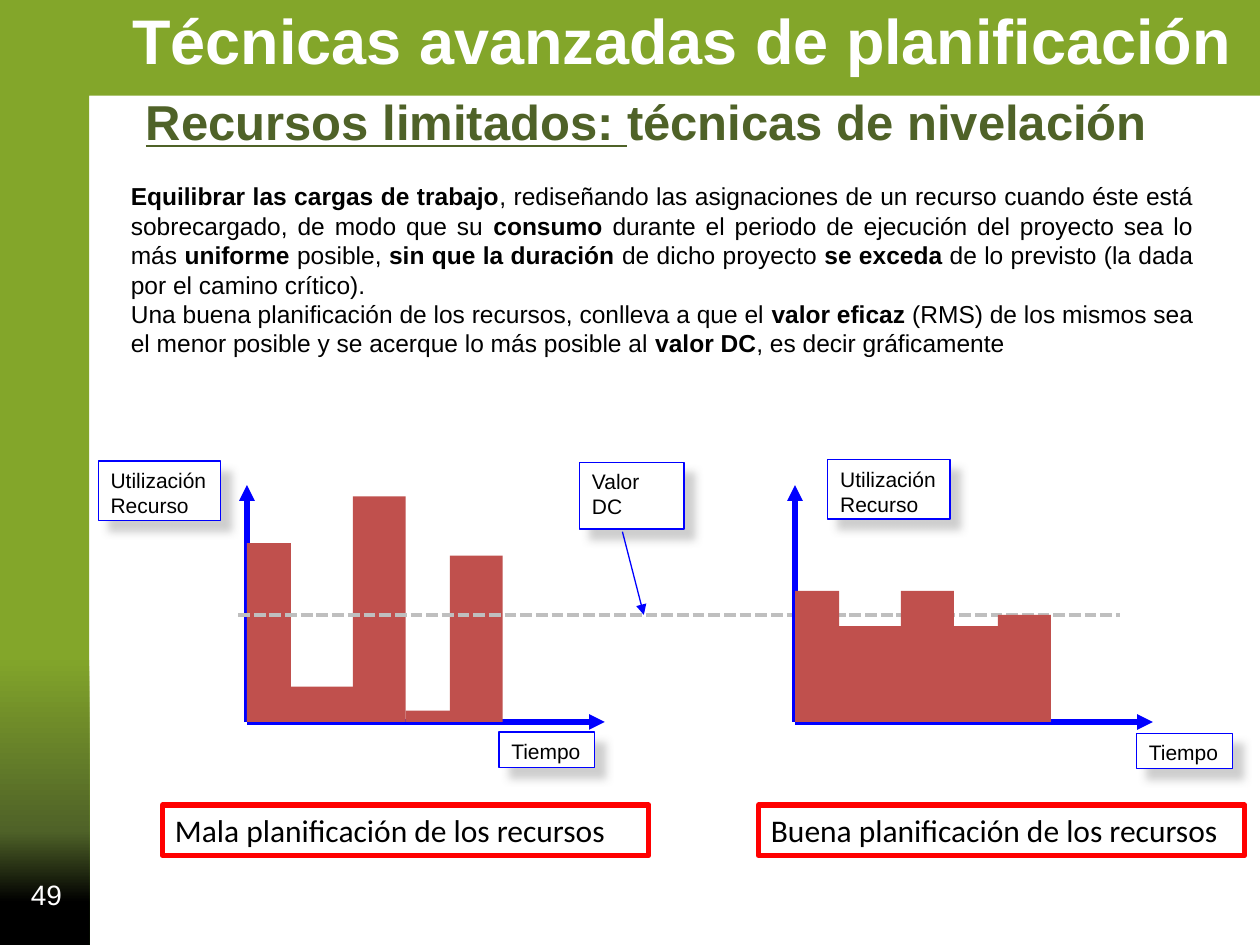
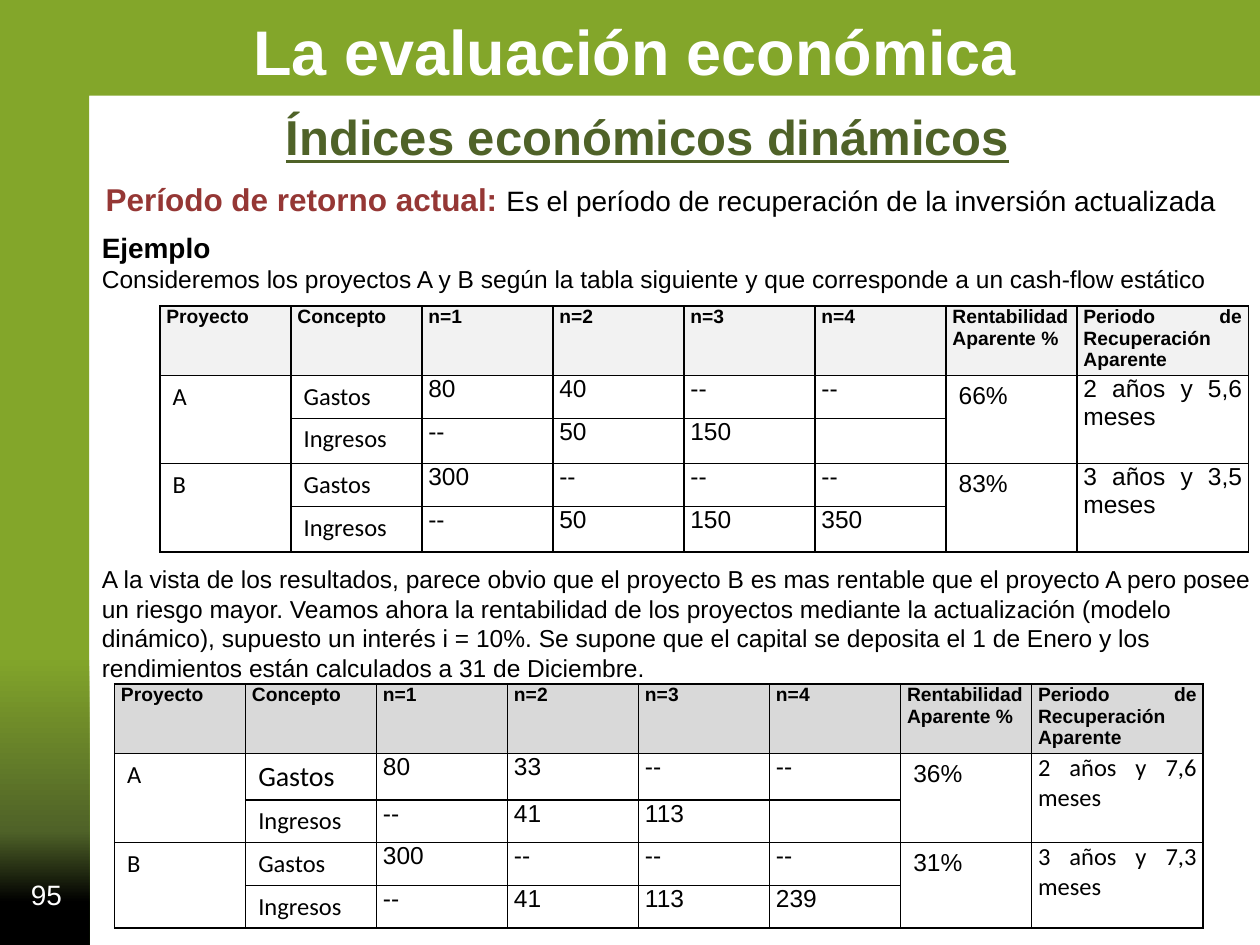
from lxml import etree
from pptx import Presentation
from pptx.dml.color import RGBColor
from pptx.enum.dml import MSO_LINE
from pptx.enum.shapes import MSO_CONNECTOR, MSO_SHAPE
from pptx.enum.text import MSO_ANCHOR, PP_ALIGN
from pptx.oxml import parse_xml
from pptx.oxml.ns import nsdecls, qn
from pptx.util import Inches, Pt

RECTANGLE = MSO_SHAPE.RECTANGLE
CORNER = MSO_SHAPE.CORNER
STRAIGHT = MSO_CONNECTOR.STRAIGHT
DASHED = MSO_LINE.SQUARE_DOT
TOP, MIDDLE = MSO_ANCHOR.TOP, MSO_ANCHOR.MIDDLE
LEFT, RIGHT, JUSTIFY = PP_ALIGN.LEFT, PP_ALIGN.RIGHT, PP_ALIGN.JUSTIFY

COLORS = {
    "white": "FFFFFF", "black": "000000", "green": "83A62A", "dark_green": "4F6228",
    "blue": "0000FF", "bar": "C0504D", "dash": "BFBFBF", "red": "FF0000",
    "term": "953735", "light_header": "F2F2F2", "gray_header": "D9D9D9",
}
BOLD = {"bold": True}
FRAME_STOPS = [(0, "black"), (9, "black"), (24, "dark_green"), (61, "green"), (100, "green")]


def write(frame, paragraphs, size, color="black", font="Arial", align=LEFT, wrap=True):
    frame.word_wrap = wrap
    for index, spans in enumerate(paragraphs):
        para = frame.paragraphs[0] if index == 0 else frame.add_paragraph()
        para.alignment = align
        for text, style in spans:
            span = para.add_run()
            span.text = text
            span.font.name = font
            span.font.size = Pt(style.get("size", size))
            span.font.bold = style.get("bold", False)
            span.font.underline = style.get("underline", False)
            span.font.color.rgb = RGBColor.from_string(COLORS[style.get("color", color)])


def draw_line(page, start, end, color, width, arrow=True):
    line = page.shapes.add_connector(STRAIGHT, *[Inches(value) for value in start + end])
    line.line.color.rgb = RGBColor.from_string(COLORS[color])
    line.line.width = Pt(width)
    etree.SubElement(line._element.spPr, qn("a:effectLst"))
    if arrow:
        etree.SubElement(line.line._get_or_add_ln(), qn("a:tailEnd"), type="triangle")
    else:
        line.line.dash_style = DASHED


deck = Presentation()
deck.slide_width, deck.slide_height = Inches(10), Inches(7.5)

headings = [
    ("Técnicas avanzadas de planificación", (0.95, -0.04, 9.01, 0.71), "49",
     [("Recursos limitados: ", {"bold": True, "underline": True}),
      ("técnicas de nivelación", BOLD)], (1.06, 0.68, 8.25, 0.57)),
    ("La evaluación económica", (1.91, 0.05, 6.32, 0.71), "95",
     [("Índices económicos dinámicos", {"bold": True, "underline": True})],
     (2.17, 0.8, 6.01, 0.57)),
]
pages = []
for title_text, title_place, number, subtitle, subtitle_place in headings:
    page = deck.slides.add_slide(deck.slide_layouts[5])
    pages.append(page)
    band = page.shapes.add_shape(CORNER, Inches(1.21), Inches(-1.29), Inches(7.54), Inches(10.04))
    band.rotation = 90
    band.adjustments[0], band.adjustments[1] = 0.099, 0.106
    band.shadow.inherit = False
    band.line.fill.background()
    stops = "".join(f'<a:gs pos="{position * 1000}"><a:srgbClr val="{COLORS[name]}"/></a:gs>'
                    for position, name in FRAME_STOPS)
    band._element.spPr.find(qn("a:prstGeom")).addnext(parse_xml(
        f'<a:gradFill {nsdecls("a")} rotWithShape="0"><a:gsLst>{stops}</a:gsLst>'
        '<a:path path="rect"><a:fillToRect t="100000" r="100000"/></a:path></a:gradFill>'))
    page.shapes._spTree.insert(2, band._element)

    title = page.shapes.title
    title.left, title.top, title.width, title.height = [Inches(value) for value in title_place]
    title.text_frame.vertical_anchor = TOP
    write(title.text_frame, [[(title_text, BOLD)]], 36, "white", wrap=False)

    box = page.shapes.add_textbox(*[Inches(value) for value in subtitle_place])
    write(box.text_frame, [subtitle], 28, "dark_green", wrap=False)
    box = page.shapes.add_textbox(Inches(0.02), Inches(6.9), Inches(0.57), Inches(0.4))
    box.text_frame.vertical_anchor = MIDDLE
    write(box.text_frame, [[(number, {})]], 16, "white", align=RIGHT)

leveling, returns = pages

box = leveling.shapes.add_textbox(Inches(0.94), Inches(1.39), Inches(8.63), Inches(1.51))
write(box.text_frame, [
    [("Equilibrar las cargas de trabajo", BOLD),
     (", rediseñando las asignaciones de un recurso cuando éste está sobrecargado, "
      "de modo que su ", {}),
     ("consumo", BOLD),
     (" durante el periodo de ejecución del proyecto sea lo más ", {}),
     ("uniforme", BOLD), (" posible, ", {}),
     ("sin que la duración ", BOLD), ("de dicho proyecto ", {}), ("se exceda ", BOLD),
     ("de lo previsto (la dada por el camino crítico).", {})],
    [("Una buena planificación de los recursos, conlleva a que el ", {}),
     ("valor eficaz ", BOLD),
     ("(RMS) de los mismos sea el menor posible y se acerque lo más posible al ", {}),
     ("valor DC", BOLD), (", es decir gráficamente", {})],
], 14, align=JUSTIFY)

base = 5.73
bar_widths = [0.35, 0.49, 0.42, 0.35, 0.42]
plans = [
    (1.96, [1.42, 0.28, 1.79, 0.09, 1.32], 1.29, "Mala planificación de los recursos"),
    (6.31, [1.04, 0.76, 1.04, 0.76, 0.85], 6.02, "Buena planificación de los recursos"),
]
for origin, bar_heights, caption_left, caption in plans:
    draw_line(leveling, (origin, base), (origin, 3.85), "blue", 3)
    draw_line(leveling, (origin, base), (origin + 2.84, base), "blue", 3)
    bar_left = origin
    for width, height in zip(bar_widths, bar_heights):
        bar = leveling.shapes.add_shape(RECTANGLE, Inches(bar_left), Inches(base - height),
                                        Inches(width), Inches(height))
        bar.shadow.inherit = False
        bar.fill.solid()
        bar.fill.fore_color.rgb = RGBColor.from_string(COLORS["bar"])
        bar.line.fill.background()
        bar_left += width
    if origin == plans[0][0]:
        draw_line(leveling, (1.89, 4.88), (8.89, 4.88), "dash", 2.25, arrow=False)

    frame = leveling.shapes.add_shape(RECTANGLE, Inches(caption_left), Inches(6.39),
                                      Inches(3.86), Inches(0.4))
    frame.shadow.inherit = False
    frame.fill.background()
    frame.line.color.rgb = RGBColor.from_string(COLORS["red"])
    frame.line.width = Pt(3)
    frame.text_frame.vertical_anchor = TOP
    write(frame.text_frame, [[(caption, {})]], 18, font="Calibri")

labels = [
    ("Tiempo", 3.96, 5.81, 0.76, 0.28),
    ("Valor DC", 4.6, 3.67, 0.83, 0.53),
    ("Utilización Recurso", 0.78, 3.66, 0.97, 0.47),
    ("Tiempo", 9.02, 5.82, 0.76, 0.28),
    ("Utilización Recurso", 6.57, 3.65, 0.97, 0.47),
]
for text, *place in labels:
    label = leveling.shapes.add_shape(RECTANGLE, *[Inches(value) for value in place])
    label.fill.solid()
    label.fill.fore_color.rgb = RGBColor.from_string(COLORS["white"])
    label.line.color.rgb = RGBColor.from_string(COLORS["blue"])
    label.line.width = Pt(0.75)
    label._element.spPr.append(parse_xml(
        f'<a:effectLst {nsdecls("a")}><a:outerShdw blurRad="{Pt(5)}" dist="{Pt(8.5)}" '
        f'dir="2700000" algn="tl" rotWithShape="0"><a:srgbClr val="{COLORS["dash"]}">'
        '<a:alpha val="75000"/></a:srgbClr></a:outerShdw></a:effectLst>'))
    label.text_frame.vertical_anchor = TOP
    write(label.text_frame, [[(text, {})]], 12)
draw_line(leveling, (4.94, 4.22), (5.11, 4.88), "blue", 0.75)

passages = [
    ((0.74, 1.38, 9.26, 0.4), 16,
     [[("Período de retorno actual: ", {"bold": True, "size": 18, "color": "term"}),
       ("Es el período de recuperación de la inversión actualizada", {})]]),
    ((0.71, 1.78, 9.41, 0.6), 14,
     [[("Ejemplo", {"bold": True, "size": 16})],
      [("Consideremos los proyectos A y B según la tabla siguiente y que corresponde "
        "a un cash-flow estático", {})]]),
    ((0.71, 4.43, 9.41, 1.04), 14,
     [[("A la vista de los resultados, parece obvio que el proyecto B es mas rentable que el "
        "proyecto A pero posee un riesgo mayor. Veamos ahora la rentabilidad de los proyectos "
        "mediante la actualización (modelo dinámico), supuesto un interés i = 10%. Se supone "
        "que el capital se deposita el 1 de Enero y los rendimientos están calculados a 31 de "
        "Diciembre.", {})]]),
]
for place, size, paragraphs in passages:
    box = returns.shapes.add_textbox(*[Inches(value) for value in place])
    write(box.text_frame, paragraphs, size)

header = ["Proyecto", "Concepto", "n=1", "n=2", "n=3", "n=4", "Rentabilidad Aparente %",
          "Periodo de Recuperación Aparente"]
column_widths = [1.04] * 7 + [1.36]
tables = [
    (1.27, 2.43, "light_header", "Arial", 14, [0.55, 0.34, 0.36, 0.34, 0.36], [
        ["A", "Gastos", "80", "40", "--", "--", "66%", "2 años y 5,6 meses"],
        ["", "Ingresos", "--", "50", "150", "", "", ""],
        ["B", "Gastos", "300", "--", "--", "--", "83%", "3 años y 3,5 meses"],
        ["", "Ingresos", "--", "50", "150", "350", "", ""]]),
    (0.91, 5.43, "gray_header", "Calibri", 16, [0.55, 0.36, 0.34, 0.34, 0.34], [
        ["A", "Gastos", "80", "33", "--", "--", "36%", "2 años y 7,6 meses"],
        ["", "Ingresos", "--", "41", "113", "", "", ""],
        ["B", "Gastos", "300", "--", "--", "--", "31%", "3 años y 7,3 meses"],
        ["", "Ingresos", "--", "41", "113", "239", "", ""]]),
]
for left, top, header_color, period_font, first_size, row_heights, rows in tables:
    table = returns.shapes.add_table(5, 8, Inches(left), Inches(top), Inches(sum(column_widths)),
                                     Inches(sum(row_heights))).table
    table.first_row = table.horz_banding = False
    for column, width in zip(table.columns, column_widths):
        column.width = Inches(width)
    for row, height in zip(table.rows, row_heights):
        row.height = Inches(height)
    for row_index, values in enumerate([header] + rows):
        for column_index, text in enumerate(values):
            cell = table.cell(row_index, column_index)
            is_header = row_index == 0
            is_padded = not is_header and column_index in (0, 1, 6) and text
            cell.margin_left = cell.margin_right = Inches(0.1 if is_padded else 0.05)
            cell.margin_top = cell.margin_bottom = Inches(0.05 if is_padded else 0)
            for side in ("a:lnL", "a:lnR", "a:lnT", "a:lnB"):
                border = etree.SubElement(cell._tc.get_or_add_tcPr(), qn(side), w=str(Pt(1)))
                paint = etree.SubElement(border, qn("a:solidFill"))
                etree.SubElement(paint, qn("a:srgbClr"), val=COLORS["black"])
            if is_header:
                cell.fill.solid()
                cell.fill.fore_color.rgb = RGBColor.from_string(COLORS[header_color])
            else:
                cell.fill.background()
            if not text:
                continue
            font, size = "Arial", 11 if is_header else 14
            if not is_header and column_index < 2:
                font = "Calibri"
            if not is_header and column_index == 7:
                font = period_font
            if (row_index, column_index) == (1, 1):
                size = first_size
            write(cell.text_frame, [[(text, {"bold": is_header})]], size, font=font,
                  align=LEFT if is_padded else JUSTIFY)
    for row_index in (1, 3):
        for column_index in (0, 6, 7):
            table.cell(row_index, column_index).merge(table.cell(row_index + 1, column_index))

deck.save("out.pptx")
